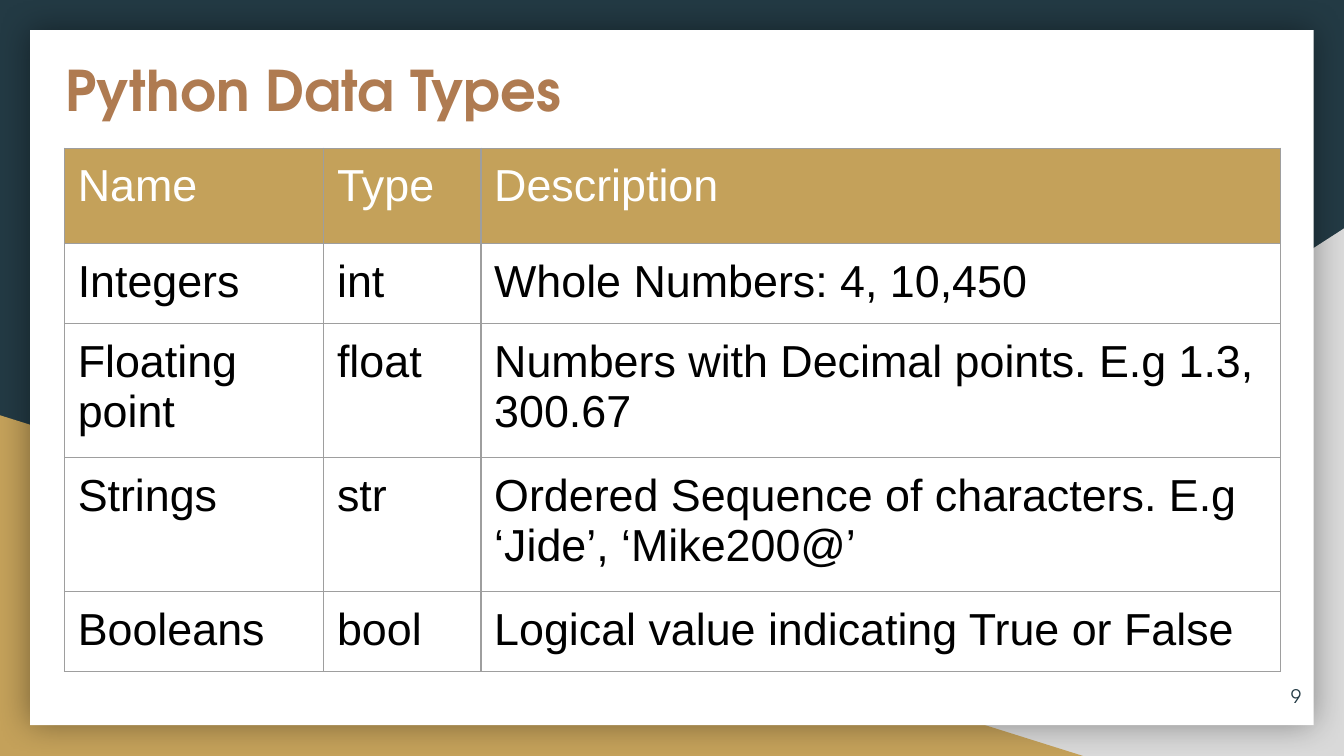
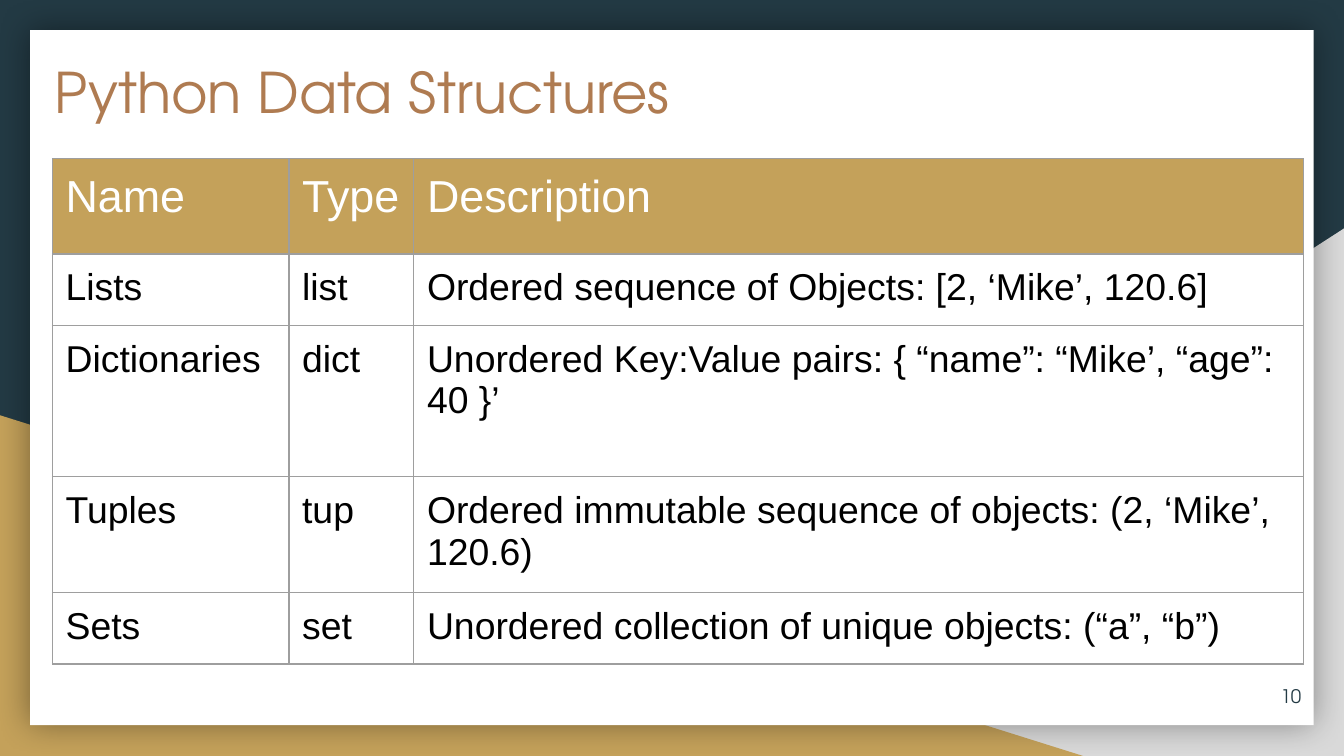
from lxml import etree
from pptx import Presentation
from pptx.dml.color import RGBColor
from pptx.enum.shapes import MSO_SHAPE
from pptx.enum.text import MSO_ANCHOR, PP_ALIGN
from pptx.oxml.ns import qn
from pptx.util import Cm, Pt

RECT = MSO_SHAPE.RECTANGLE
TRIANGLE = MSO_SHAPE.RIGHT_TRIANGLE
TOP, MIDDLE = MSO_ANCHOR.TOP, MSO_ANCHOR.MIDDLE
LEFT, RIGHT = PP_ALIGN.LEFT, PP_ALIGN.RIGHT

NAVY, GOLD, GREY, WHITE = "233A44", "C4A15A", "D9D9D9", "FFFFFF"
BROWN, BLACK, RULE = "AF7B51", "000000", "9E9E9E"
HEAD_FONT, BODY_FONT = "TeX Gyre Adventor", "Arial"
INSET = Cm(0.25)
HEADER = ("Name", "Type", "Description")

SLIDES = [
    dict(
        title="Python Data Types", title_box=(0.99, 0.81, 20.85, 1.93),
        bold=True, number=9, table_at=(1.22, 2.8), size=24,
        cols=(4.9, 2.97, 15.11), heights=(1.8, 1.46, 2.39, 2.39, 1.46),
        rows=[
            ("Integers", "int", "Whole Numbers: 4, 10,450"),
            ("Floating point", "float",
             "Numbers with Decimal points. E.g 1.3, 300.67"),
            ("Strings", "str",
             "Ordered Sequence of characters. E.g ‘Jide’, ‘Mike200@’"),
            ("Booleans", "bool", "Logical value indicating True or False"),
        ]),
    dict(
        title="Python Data Structures", title_box=(0.79, 0.84, 20.85, 2.64),
        bold=False, number=10, table_at=(0.99, 3), size=20,
        cols=(4.47, 2.36, 16.81), heights=(1.8, 1.3, 2.86, 2.08, 1.3),
        rows=[
            ("Lists", "list", "Ordered sequence of Objects: [2, ‘Mike’, 120.6]"),
            ("Dictionaries", "dict",
             "Unordered Key:Value pairs: { “name”: “Mike’, “age”: 40 }’"),
            ("Tuples", "tup",
             "Ordered immutable sequence of objects: (2, ‘Mike’, 120.6)"),
            ("Sets", "set", "Unordered collection of unique objects: (“a”, “b”)"),
        ]),
]


def rgb(value):
    """Turn a hex string into a colour."""
    return RGBColor.from_string(value)


def style_text(tf, font, size, color, bold=False, align=LEFT):
    """Format every run of a text frame."""
    for p in tf.paragraphs:
        p.alignment = align
        for r in p.runs:
            r.font.name = font
            r.font.size = Pt(size)
            r.font.bold = bold
            r.font.color.rgb = rgb(color)


def add_block(slide, kind, box, color):
    """Add a plain filled shape without outline or shadow."""
    sp = slide.shapes.add_shape(kind, *map(Cm, box))
    sp.fill.solid()
    sp.fill.fore_color.rgb = rgb(color)
    sp.line.fill.background()
    sp.shadow.inherit = False
    return sp


def add_glow(sp):
    """Give a shape a soft shadow on all sides."""
    effects = sp._element.spPr.find(qn("a:effectLst"))
    shadow = etree.SubElement(effects, qn("a:outerShdw"), blurRad=str(Pt(18)),
                              dist="0", dir="0", algn="ctr", rotWithShape="0")
    color = etree.SubElement(shadow, qn("a:srgbClr"), val=BLACK)
    etree.SubElement(color, qn("a:alpha"), val="40000")


def add_backdrop(slide):
    """Draw the coloured corners and the white card."""
    slide.background.fill.solid()
    slide.background.fill.fore_color.rgb = rgb(NAVY)
    corner = add_block(slide, TRIANGLE, (9.96, 4.32, 15.44, 9.97), GREY)
    corner._element.spPr.find(qn("a:xfrm")).set("flipH", "1")
    add_block(slide, TRIANGLE, (0, 7.85, 20.47, 6.44), GOLD)
    add_glow(add_block(slide, RECT, (0.57, 0.57, 24.26, 13.14), WHITE))


def add_label(slide, box, text, size, color, bold=False, align=LEFT, anchor=TOP):
    """Add a text box in the heading font."""
    tf = slide.shapes.add_textbox(*map(Cm, box)).text_frame
    tf.word_wrap = True
    tf.margin_left = tf.margin_right = tf.margin_top = tf.margin_bottom = INSET
    tf.vertical_anchor = anchor
    tf.text = text
    style_text(tf, HEAD_FONT, size, color, bold, align)


def add_borders(cell):
    """Rule all four sides of a cell."""
    tcPr = cell._tc.get_or_add_tcPr()
    for side in ("lnL", "lnR", "lnT", "lnB"):
        ln = etree.SubElement(tcPr, qn("a:" + side), w=str(Pt(0.75)))
        fill = etree.SubElement(ln, qn("a:solidFill"))
        etree.SubElement(fill, qn("a:srgbClr"), val=RULE)


def fill_cell(cell, text, size, is_header):
    """Write and format one table cell."""
    cell.text = text
    cell.margin_left = cell.margin_right = INSET
    cell.margin_top = cell.margin_bottom = INSET
    add_borders(cell)
    if is_header:
        cell.fill.solid()
        cell.fill.fore_color.rgb = rgb(GOLD)
        style_text(cell.text_frame, BODY_FONT, 24, WHITE)
    else:
        cell.fill.background()
        style_text(cell.text_frame, BODY_FONT, size, BLACK)


def add_type_table(slide, at, cols, heights, rows, size):
    """Add the name, type and description table."""
    box = (*at, sum(cols), sum(heights))
    table = slide.shapes.add_table(len(heights), len(cols), *map(Cm, box)).table
    table.first_row = table.horz_banding = False
    for column, width in zip(table.columns, cols):
        column.width = Cm(width)
    for i, (height, texts) in enumerate(zip(heights, [HEADER, *rows])):
        table.rows[i].height = Cm(height)
        for j, text in enumerate(texts):
            fill_cell(table.cell(i, j), text, size, i == 0)


def add_table_slide(prs, content):
    """Build one slide with a title, a table and a page number."""
    slide = prs.slides.add_slide(prs.slide_layouts[6])
    add_backdrop(slide)
    add_label(slide, content["title_box"], content["title"], 30, BROWN,
              bold=content["bold"])
    add_label(slide, (23.32, 12.62, 1.52, 1.09), str(content["number"]), 10, NAVY,
              align=RIGHT, anchor=MIDDLE)
    add_type_table(slide, content["table_at"], content["cols"],
                   content["heights"], content["rows"], content["size"])


def main():
    """Build and save the presentation."""
    prs = Presentation()
    prs.slide_width, prs.slide_height = Cm(25.4), Cm(14.29)
    for content in SLIDES:
        add_table_slide(prs, content)
    prs.save("out.pptx")


if __name__ == "__main__":
    main()
